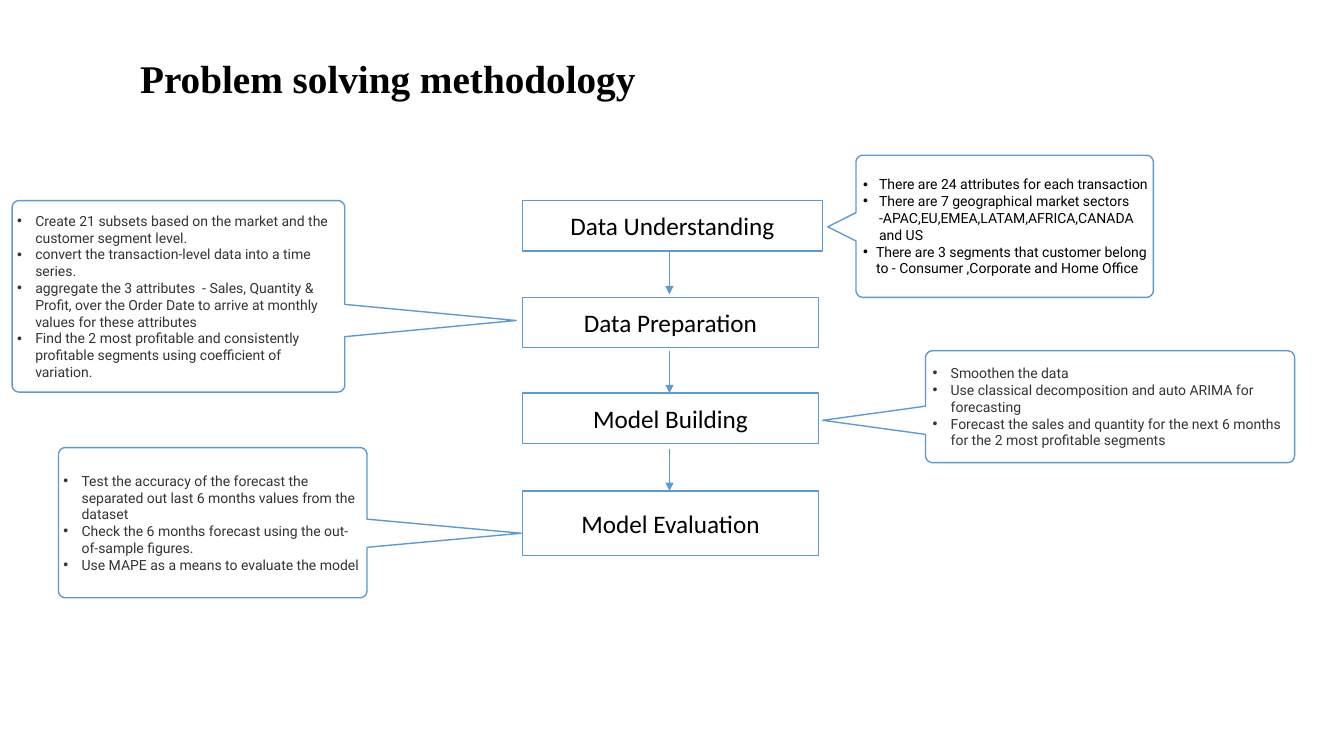
from math import cos, radians, sin

from lxml import etree
from pptx import Presentation
from pptx.dml.color import RGBColor
from pptx.enum.shapes import MSO_CONNECTOR, MSO_SHAPE
from pptx.enum.text import MSO_ANCHOR, PP_ALIGN
from pptx.oxml.ns import qn
from pptx.util import Inches, Pt

BLACK = RGBColor(0, 0, 0)
GREY = RGBColor(0x33, 0x33, 0x33)
WHITE = RGBColor(0xFF, 0xFF, 0xFF)
BLUE = RGBColor(0x5B, 0x9B, 0xD5)
RECT = MSO_SHAPE.RECTANGLE
LINE = MSO_CONNECTOR.STRAIGHT
MIDDLE = MSO_ANCHOR.MIDDLE
LEFT, CENTER = PP_ALIGN.LEFT, PP_ALIGN.CENTER

STEPS = [
    ("Data Understanding", 1.99, 2.98, 0.5),
    ("Data Preparation", 2.95, 2.94, 0.5),
    ("Model Building", 3.9, 2.94, 0.5),
    ("Model Evaluation", 4.87, 2.94, 0.64),
]
ARROWS = [2.5, 3.48, 4.45]
NOTES = [
    ((8.49, 1.54, 2.95, 1.41), (8.21, 2.25), 0.14, (8.51, 2.94), BLACK, [
        ("There are 24 attributes for each transaction", 0.16),
        ("There are 7 geographical market sectors "
         "-APAC,EU,EMEA,LATAM,AFRICA,CANADA and US", 0.16),
        ("There are 3 segments that customer belong to "
         "- Consumer ,Corporate and Home Office", 0.13),
    ]),
    ((0.12, 1.99, 3.3, 1.9), (5.12, 3.18), 0.16, (0.12, 3.22), GREY, [
        ("Create 21 subsets based on the market and the customer segment level.", 0.18),
        ("convert the transaction-level data into a time series.", 0.18),
        ("aggregate the 3 attributes  - Sales, Quantity & Profit, over the "
         "Order Date to arrive at monthly values for these attributes", 0.18),
        ("Find the 2 most profitable and consistently profitable segments "
         "using coefficient of variation.", 0.18),
    ]),
    ((9.18, 3.48, 3.66, 1.11), (8.16, 4.17), 0.14, (9.2, 3.64), GREY, [
        ("Smoothen the data", 0.18),
        ("Use classical decomposition and auto ARIMA for forecasting", 0.18),
        ("Forecast the sales and quantity for the next 6 months "
         "for the 2 most profitable segments", 0.18),
    ]),
    ((0.58, 4.44, 3.06, 1.49), (5.17, 5.29), 0.14, (0.58, 3.03), GREY, [
        ("Test the accuracy of the forecast the separated out last 6 months "
         "values from the dataset", 0.18),
        ("Check the 6 months forecast using the out-of-sample figures.", 0.18),
        ("Use MAPE as a means to evaluate the model", 0.18),
    ]),
]


class Deck:
    def __init__(self):
        self.prs = Presentation()
        self.prs.slide_width = Inches(13.33)
        self.prs.slide_height = Inches(7.5)
        self.slide = self.prs.slides.add_slide(self.prs.slide_layouts[5])
        self.shapes = self.slide.shapes

    def style(self, shape):
        shape.shadow.inherit = False
        shape.fill.solid()
        shape.fill.fore_color.rgb = WHITE
        shape.line.color.rgb = BLUE
        shape.line.width = Pt(1)

    def frame(self, shape, left=0.05):
        frame = shape.text_frame
        frame.word_wrap = True
        frame.vertical_anchor = MIDDLE
        frame.margin_left = Inches(left)
        frame.margin_right = frame.margin_top = frame.margin_bottom = Inches(0.05)
        return frame

    def label(self, para, text, name, size, color, align, bold=False):
        para.text = text
        para.alignment = align
        font = para.runs[0].font
        font.name, font.size, font.bold = name, Pt(size), bold
        font.color.rgb = color

    def title(self, text):
        title = self.shapes.title
        title.left, title.top = Inches(1.2), Inches(0.33)
        title.width, title.height = Inches(10.19), Inches(0.94)
        para = self.frame(title, 0.19).paragraphs[0]
        self.label(para, text, "Times New Roman", 28, BLACK, LEFT, True)
        para.line_spacing = 0.9

    def step(self, text, top, width, height):
        box = self.shapes.add_shape(
            RECT, Inches(5.18), Inches(top), Inches(width), Inches(height))
        self.style(box)
        para = self.frame(box).paragraphs[0]
        self.label(para, text, "Calibri", 18, BLACK, CENTER)

    def arrow(self, top):
        line = self.shapes.add_connector(
            LINE, Inches(6.64), Inches(top), Inches(6.64), Inches(top + 0.42))
        line.line.color.rgb = BLUE
        line.line.width = Pt(1)
        props = line._element.spPr
        etree.SubElement(props.find(qn("a:ln")), qn("a:tailEnd"), type="triangle")
        etree.SubElement(props, qn("a:effectLst"))

    def bubble(self, box, tip, half):
        left, top, width, height = box
        right, base, rad = left + width, top + height, 0.07
        hubs = [
            (right - rad, top + rad, -90), (right - rad, base - rad, 0),
            (left + rad, base - rad, 90), (left + rad, top + rad, 180),
        ]
        arcs = [[(x + rad * cos(radians(turn + step)), y + rad * sin(radians(turn + step)))
                 for step in range(0, 91, 15)] for x, y, turn in hubs]
        x, y = tip
        if x > right:
            arcs.insert(1, [(right, y - half), tip, (right, y + half)])
        else:
            arcs.insert(3, [(left, y + half), tip, (left, y - half)])
        points = [(Inches(a), Inches(b)) for arc in arcs for a, b in arc]
        pen = self.shapes.build_freeform(*points[0], scale=1.0)
        pen.add_line_segments(points[1:], close=True)
        self.style(pen.convert_to_shape())

    def note(self, box, tip, half, span, color, items):
        self.bubble(box, tip, half)
        text = self.shapes.add_textbox(
            Inches(span[0]), Inches(box[1]), Inches(span[1]), Inches(box[3]))
        frame = self.frame(text)
        for i, (words, indent) in enumerate(items):
            para = frame.add_paragraph() if i else frame.paragraphs[0]
            props = para._p.get_or_add_pPr()
            props.set("marL", str(Inches(indent)))
            props.set("indent", str(-Inches(indent)))
            etree.SubElement(props, qn("a:buFont"), typeface="Arial")
            etree.SubElement(props, qn("a:buChar"), char="•")
            self.label(para, words, "Roboto", 10, color, LEFT)


def main():
    deck = Deck()
    deck.title("Problem solving methodology")
    for step in STEPS:
        deck.step(*step)
    for top in ARROWS:
        deck.arrow(top)
    for note in NOTES:
        deck.note(*note)
    deck.prs.save("out.pptx")


if __name__ == "__main__":
    main()
